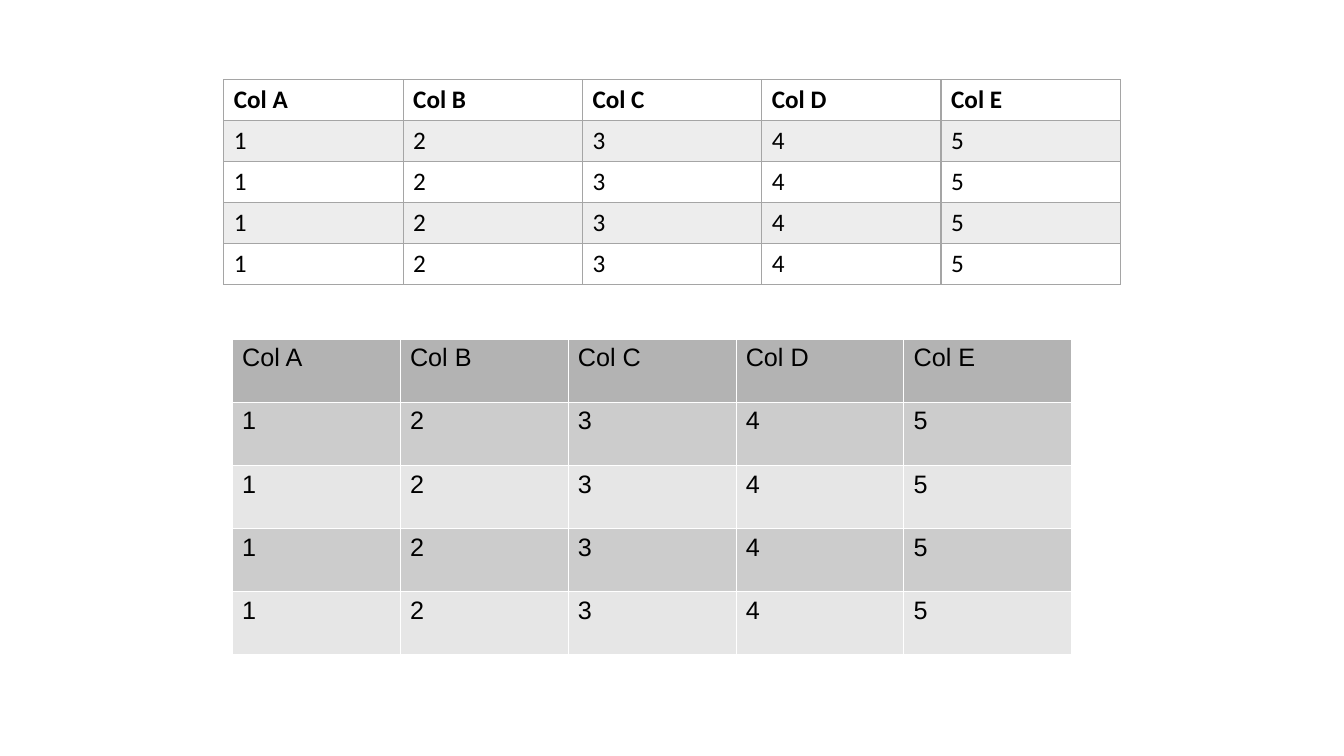
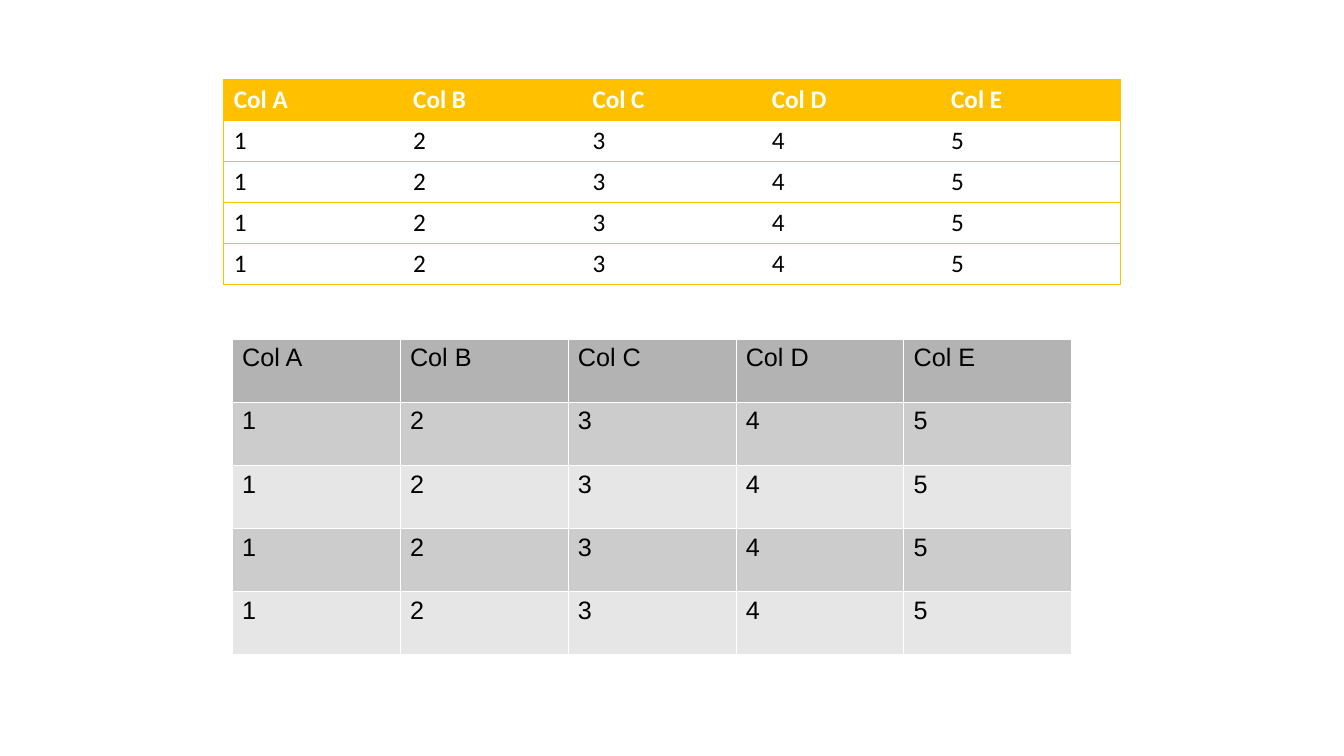
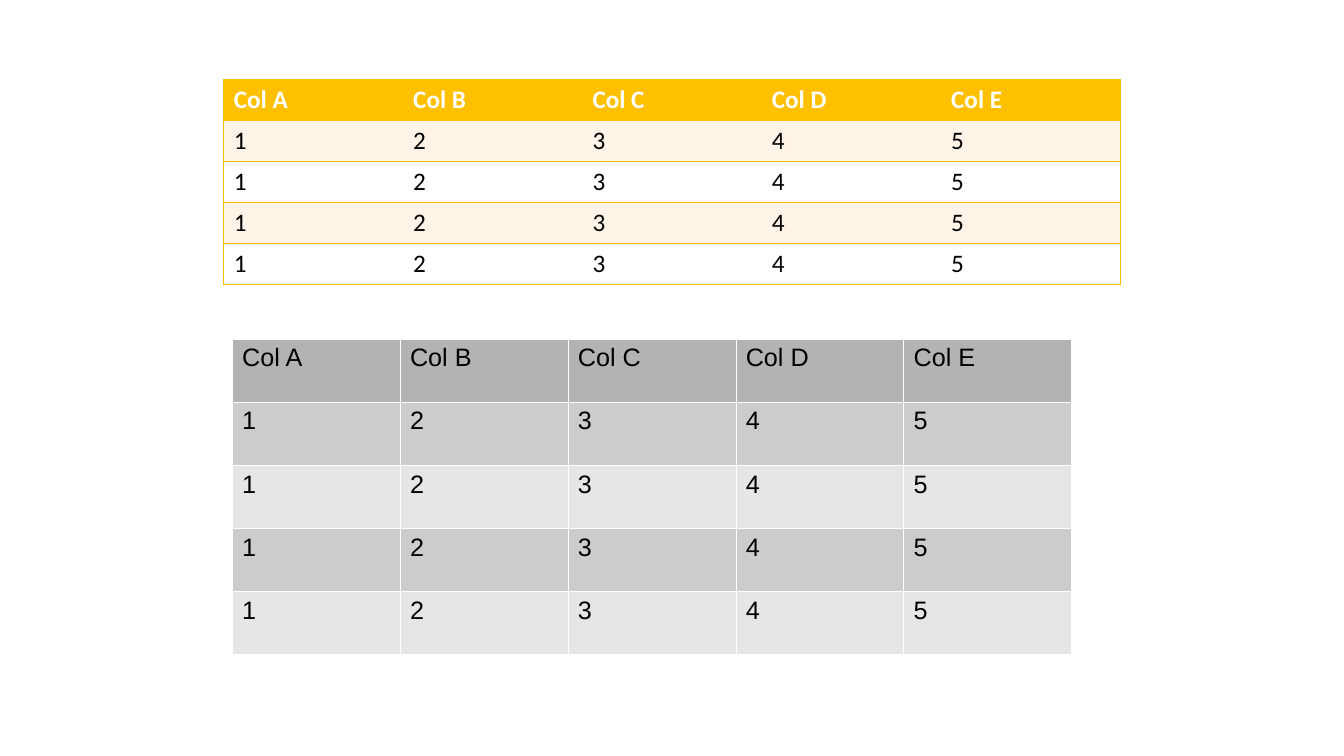
"""Build three slides, each pairing a differently styled table with a common grey one."""
import lxml.etree
import pptx
import pptx.dml.color
import pptx.enum.text
import pptx.oxml.ns
import pptx.util

Cm, Pt = pptx.util.Cm, pptx.util.Pt
RGBColor = pptx.dml.color.RGBColor
Anchor = pptx.enum.text.MSO_ANCHOR
qn = pptx.oxml.ns.qn

BLACK = RGBColor(0x00, 0x00, 0x00)
WHITE = RGBColor(0xFF, 0xFF, 0xFF)
GREY = RGBColor(0xA5, 0xA5, 0xA5)
GOLD = RGBColor(0xFF, 0xC0, 0x00)
CREAM = RGBColor(0xFF, 0xF4, 0xE7)
DARK_BAND = RGBColor(0xB3, 0xB3, 0xB3)
MID_BAND = RGBColor(0xCC, 0xCC, 0xCC)
LIGHT_BAND = RGBColor(0xE6, 0xE6, 0xE6)

PLAIN_STYLE = "{2D5ABB26-0587-4C30-8999-92F81FD0307C}"

HEADINGS = ["Col A", "Col B", "Col C", "Col D", "Col E"]
ROWS = [HEADINGS] + [["1", "2", "3", "4", "5"]] * 4

UPPER = {"left": 5.64, "top": 2.01, "column": 4.52, "row": 1.03,
         "font": "Calibri", "heading_bold": True, "anchor": Anchor.MIDDLE}
LOWER = {"left": 5.85, "top": 8.54, "column": 4.23, "row": 1.59,
         "font": "Arial", "heading_bold": False, "anchor": Anchor.TOP}

GREY_GRID = {"heading_fill": None, "heading_text": BLACK, "bands": [GREY, None],
             "opacity": 20, "line": GREY, "width": 0.96, "inner_verticals": True}
GOLD_LINES = {"heading_fill": GOLD, "heading_text": WHITE, "bands": [None, None],
              "opacity": 100, "line": GOLD, "width": 0.5, "inner_verticals": False}
GOLD_BANDS = {**GOLD_LINES, "bands": [CREAM, WHITE], "width": 0.96}
GREY_BANDS = {"heading_fill": DARK_BAND, "heading_text": BLACK,
              "bands": [MID_BAND, LIGHT_BAND], "opacity": 100,
              "line": WHITE, "width": 0.06, "inner_verticals": True}

SLIDES = [[(UPPER, look), (LOWER, GREY_BANDS)]
          for look in (GREY_GRID, GOLD_LINES, GOLD_BANDS)]


def fill_cell(cell, color, opacity):
    if color is None:
        cell.fill.background()
        return
    cell.fill.solid()
    cell.fill.fore_color.rgb = color
    if opacity < 100:
        tint = cell._tc.tcPr.find(".//" + qn("a:srgbClr"))
        lxml.etree.SubElement(tint, qn("a:alpha"), val=str(opacity * 1000))


def border_cell(cell, look, column):
    drawn = {
        "a:lnL": look["inner_verticals"] or column == 0,
        "a:lnR": look["inner_verticals"] or column == len(HEADINGS) - 1,
        "a:lnT": True,
        "a:lnB": True,
    }
    for position, (side, visible) in enumerate(drawn.items()):
        edge = lxml.etree.Element(qn(side), w=str(int(Pt(look["width"]))))
        if visible:
            paint = lxml.etree.SubElement(edge, qn("a:solidFill"))
            lxml.etree.SubElement(paint, qn("a:srgbClr"), val=str(look["line"]))
        else:
            lxml.etree.SubElement(edge, qn("a:noFill"))
        cell._tc.tcPr.insert(position, edge)


def write_cell(cell, text, place, look, is_heading):
    cell.text = text
    cell.vertical_anchor = place["anchor"]
    font = cell.text_frame.paragraphs[0].runs[0].font
    font.color.rgb = look["heading_text"] if is_heading else BLACK
    formats = {"name": place["font"], "size": Pt(18),
               "bold": is_heading and place["heading_bold"]}
    for attribute, value in formats.items():
        setattr(font, attribute, value)


def add_grid(slide, place, look):
    frame = slide.shapes.add_table(
        len(ROWS), len(HEADINGS), Cm(place["left"]), Cm(place["top"]),
        Cm(place["column"] * len(HEADINGS)), Cm(place["row"] * len(ROWS)))
    grid = frame.table
    grid.first_row = grid.horz_banding = False
    grid._tbl.tblPr.find(qn("a:tableStyleId")).text = PLAIN_STYLE
    for r, texts in enumerate(ROWS):
        is_heading = r == 0
        color = look["heading_fill"] if is_heading else look["bands"][(r - 1) % 2]
        for c, text in enumerate(texts):
            cell = grid.cell(r, c)
            write_cell(cell, text, place, look, is_heading)
            fill_cell(cell, color, look["opacity"])
            border_cell(cell, look, c)


def main():
    deck = pptx.Presentation()
    deck.slide_width, deck.slide_height = Cm(33.87), Cm(19.05)
    for grids in SLIDES:
        slide = deck.slides.add_slide(deck.slide_layouts[6])
        for place, look in grids:
            add_grid(slide, place, look)
    deck.save("out.pptx")


if __name__ == "__main__":
    main()
